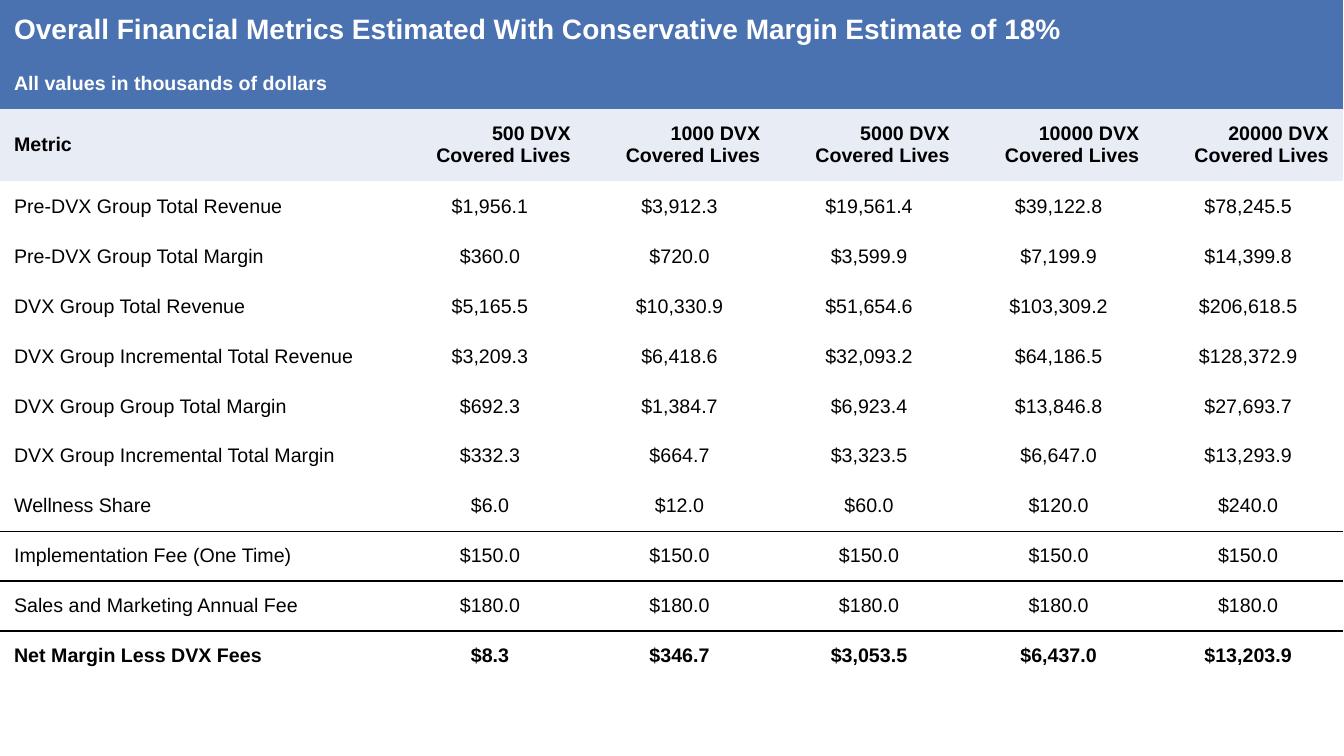
from lxml.etree import SubElement
from pptx import Presentation
from pptx.dml.color import RGBColor
from pptx.enum.text import MSO_ANCHOR, PP_ALIGN
from pptx.oxml import parse_xml
from pptx.oxml.ns import nsdecls, qn
from pptx.util import Inches, Pt

BLUE = RGBColor(0x4A, 0x72, 0xB0)
PALE_BLUE = RGBColor(0xE7, 0xEC, 0xF5)
WHITE = RGBColor(0xFF, 0xFF, 0xFF)
BLACK = RGBColor(0x00, 0x00, 0x00)
NO_STYLE_NO_GRID = "{2D5ABB26-0587-4C30-8999-92F81FD0307C}"

BANNERS = [
    ("Overall Financial Metrics Estimated With Conservative Margin Estimate of 18%", 20),
    ("All values in thousands of dollars", 14),
]
COVERED_LIVES = [500, 1000, 5000, 10000, 20000]
METRICS = [
    ("Pre-DVX Group Total Revenue", 1956.1, 3912.3, 19561.4, 39122.8, 78245.5),
    ("Pre-DVX Group Total Margin", 360.0, 720.0, 3599.9, 7199.9, 14399.8),
    ("DVX Group Total Revenue", 5165.5, 10330.9, 51654.6, 103309.2, 206618.5),
    ("DVX Group Incremental Total Revenue", 3209.3, 6418.6, 32093.2, 64186.5, 128372.9),
    ("DVX Group Group Total Margin", 692.3, 1384.7, 6923.4, 13846.8, 27693.7),
    ("DVX Group Incremental Total Margin", 332.3, 664.7, 3323.5, 6647.0, 13293.9),
    ("Wellness Share", 6.0, 12.0, 60.0, 120.0, 240.0),
    ("Implementation Fee (One Time)", 150.0, 150.0, 150.0, 150.0, 150.0),
    ("Sales and Marketing Annual Fee", 180.0, 180.0, 180.0, 180.0, 180.0),
    ("Net Margin Less DVX Fees", 8.3, 346.7, 3053.5, 6437.0, 13203.9),
]
RULED_BELOW = ("Wellness Share", "Sales and Marketing Annual Fee")
RULED_ABOVE = ("Implementation Fee (One Time)", "Net Margin Less DVX Fees")
TOTAL = "Net Margin Less DVX Fees"
TOP_HEIGHTS = [0.59, 0.49, 0.72]
METRICS_HEIGHT = 4.96


def write_cell(cell, text, size=14, bold=True, color=BLACK, fill=None, align=PP_ALIGN.LEFT):
    cell.text = text
    cell.vertical_anchor = MSO_ANCHOR.MIDDLE
    cell.margin_left = cell.margin_right = Inches(0.14)
    cell.margin_top = cell.margin_bottom = Inches(0.13)
    if fill is None:
        cell.fill.background()
    else:
        cell.fill.solid()
        cell.fill.fore_color.rgb = fill
    paragraph = cell.text_frame.paragraphs[0]
    paragraph.alignment = align
    paragraph.font.name = "Arial"
    paragraph.font.size = Pt(size)
    paragraph.font.bold = bold
    paragraph.font.color.rgb = color


def add_rule(cell, edge):
    """Draw a thin black border on one edge of the cell, "lnT" or "lnB"."""
    line = parse_xml(f'<a:{edge} {nsdecls("a")} w="{Pt(1)}"/>')
    solid_fill = SubElement(line, qn("a:solidFill"))
    SubElement(solid_fill, qn("a:srgbClr"), val=str(BLACK))
    cell._tc.get_or_add_tcPr().insert(0, line)


presentation = Presentation()
presentation.slide_width = Inches(13.33)
presentation.slide_height = Inches(7.5)
slide = presentation.slides.add_slide(presentation.slide_layouts[6])

row_heights = TOP_HEIGHTS + [METRICS_HEIGHT / len(METRICS)] * len(METRICS)
column_widths = [3.92] + [1.88] * len(COVERED_LIVES)
table = slide.shapes.add_table(
    len(row_heights), len(column_widths), 0, 0,
    Inches(sum(column_widths)), Inches(sum(row_heights)),
).table
table.first_row = False
table.horz_banding = False
table._tbl.tblPr.find(qn("a:tableStyleId")).text = NO_STYLE_NO_GRID
for row, height in zip(table.rows, row_heights):
    row.height = Inches(height)
for column, width in zip(table.columns, column_widths):
    column.width = Inches(width)

for row_index, (text, size) in enumerate(BANNERS):
    banner = table.cell(row_index, 0)
    banner.merge(table.cell(row_index, len(COVERED_LIVES)))
    write_cell(banner, text, size=size, color=WHITE, fill=BLUE)

header_index = len(BANNERS)
write_cell(table.cell(header_index, 0), "Metric", fill=PALE_BLUE)
for column_index, lives in enumerate(COVERED_LIVES, start=1):
    write_cell(table.cell(header_index, column_index), f"{lives} DVX Covered Lives",
               fill=PALE_BLUE, align=PP_ALIGN.RIGHT)

for row_index, (metric, *values) in enumerate(METRICS, start=header_index + 1):
    bold = metric == TOTAL
    write_cell(table.cell(row_index, 0), metric, bold=bold)
    for column_index, value in enumerate(values, start=1):
        write_cell(table.cell(row_index, column_index), f"${value:,.1f}",
                   bold=bold, align=PP_ALIGN.CENTER)
    for cell in table.rows[row_index].cells:
        if metric in RULED_BELOW:
            add_rule(cell, "lnB")
        if metric in RULED_ABOVE:
            add_rule(cell, "lnT")

presentation.save("out.pptx")
